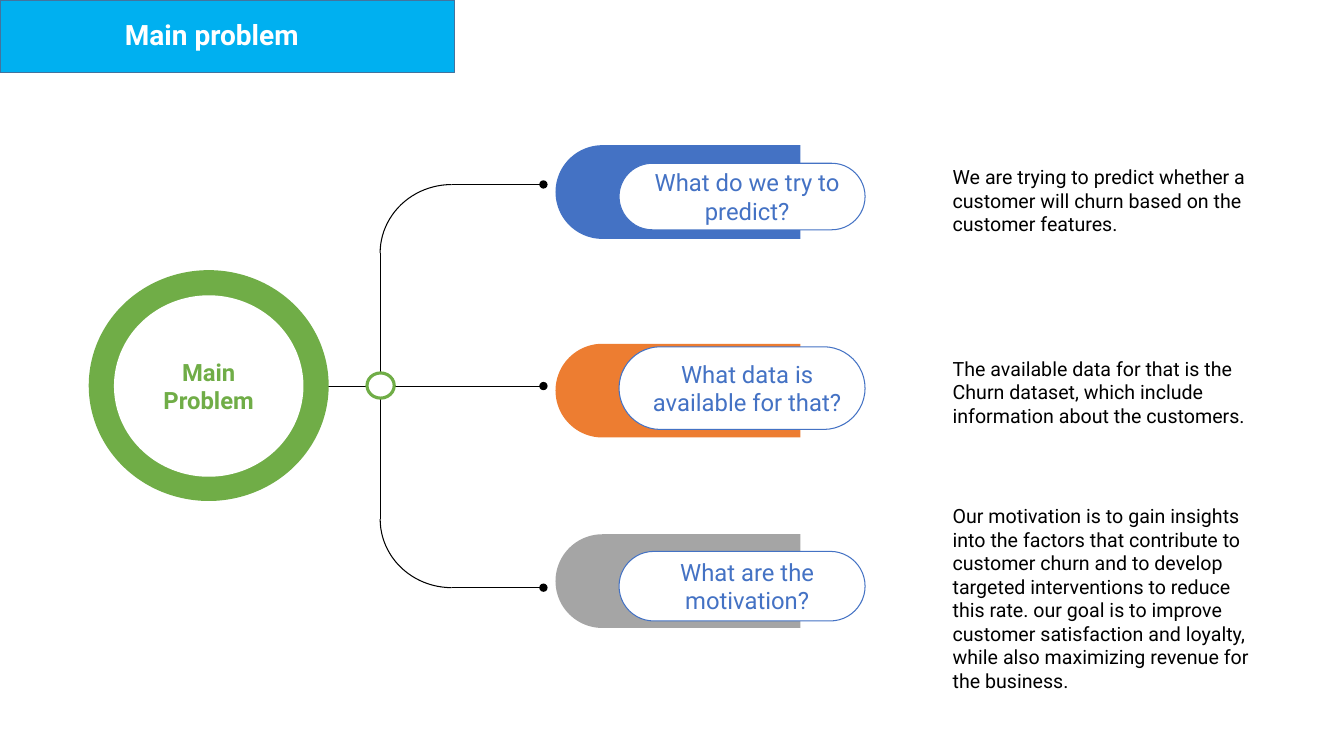
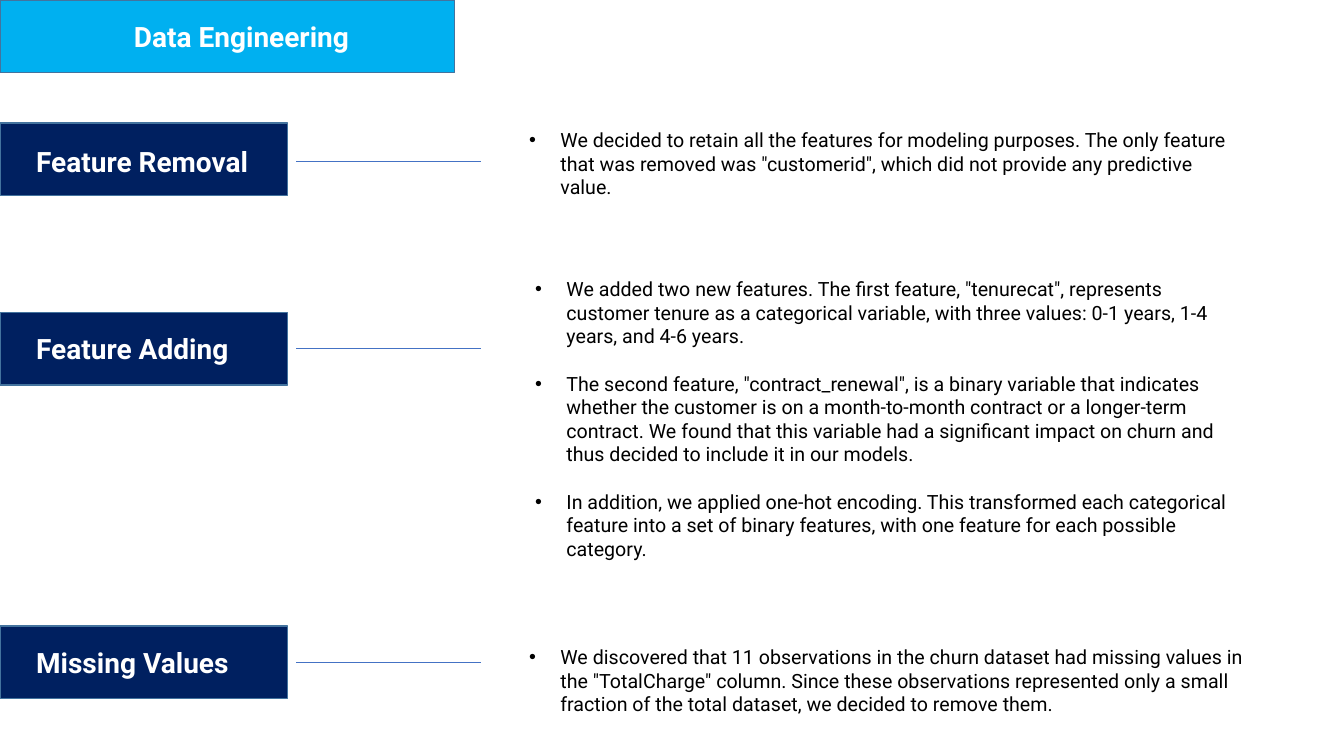
from lxml import etree
from pptx import Presentation
from pptx.dml.color import RGBColor
from pptx.enum.shapes import MSO_CONNECTOR, MSO_SHAPE
from pptx.enum.text import MSO_ANCHOR, PP_ALIGN
from pptx.oxml.ns import qn
from pptx.util import Pt

PX = 9144
FONT = "Roboto"
RECTANGLE = MSO_SHAPE.RECTANGLE
PILL = MSO_SHAPE.ROUNDED_RECTANGLE
CAP = MSO_SHAPE.ROUND_2_SAME_RECTANGLE
ELLIPSE = MSO_SHAPE.OVAL
ARC = MSO_SHAPE.ARC
STRAIGHT = MSO_CONNECTOR.STRAIGHT
LEFT, CENTER = PP_ALIGN.LEFT, PP_ALIGN.CENTER
TOP, MIDDLE = MSO_ANCHOR.TOP, MSO_ANCHOR.MIDDLE

COLORS = {
    "band": "00B0F0",
    "navy": "002060",
    "edge": "43739E",
    "blue": "4472C4",
    "orange": "ED7D31",
    "gray": "A5A5A5",
    "green": "70AD47",
    "white": "FFFFFF",
    "black": "000000",
}
COLORS = {name: RGBColor.from_string(value) for name, value in COLORS.items()}

TITLE = {"size": 20, "color": "white", "bold": True}
BODY = {"size": 14, "color": "black"}
PILL_TEXT = {"size": 17, "color": "blue", "align": CENTER, "anchor": MIDDLE,
             "insets": (20, 10, 10, 10)}


def add_block(slide, kind, box, fill=None, line=None, weight=1, rotation=0,
              adjustments=(), texts=(), size=14, color="black", bold=False,
              align=LEFT, anchor=TOP, insets=(10, 5, 10, 5), bullet=False):
    bounds = [value * PX for value in box]
    if kind is None:
        shape = slide.shapes.add_textbox(*bounds)
    else:
        shape = slide.shapes.add_shape(kind, *bounds)
        shape.shadow.inherit = False
        shape.rotation = rotation
        for index, value in enumerate(adjustments):
            shape.adjustments[index] = value
        if fill:
            shape.fill.solid()
            shape.fill.fore_color.rgb = COLORS[fill]
        else:
            shape.fill.background()
        if line:
            shape.line.color.rgb = COLORS[line]
            shape.line.width = Pt(weight)
        else:
            shape.line.fill.background()

    frame = shape.text_frame
    frame.word_wrap = True
    frame.vertical_anchor = anchor
    (frame.margin_left, frame.margin_top,
     frame.margin_right, frame.margin_bottom) = [value * PX for value in insets]
    for index, text in enumerate(texts):
        paragraph = frame.add_paragraph() if index else frame.paragraphs[0]
        paragraph.alignment = align
        if index:
            paragraph.space_before = Pt(17)
        if bullet:
            properties = paragraph._p.get_or_add_pPr()
            properties.set("marL", str(31 * PX))
            properties.set("indent", str(-31 * PX))
            etree.SubElement(properties, qn("a:buFont"), typeface="Arial")
            etree.SubElement(properties, qn("a:buChar"), char="•")
        run = paragraph.add_run()
        run.text = text
        run.font.name = FONT
        run.font.size = Pt(size)
        run.font.bold = bold
        run.font.color.rgb = COLORS[color]


def add_line(slide, points, color, weight, dot=False):
    connector = slide.shapes.add_connector(STRAIGHT, *[value * PX for value in points])
    connector.line.color.rgb = COLORS[color]
    connector.line.width = Pt(weight)
    properties = connector.element.spPr
    if dot:
        etree.SubElement(properties.get_or_add_ln(), qn("a:tailEnd"), type="oval")
    etree.SubElement(properties, qn("a:effectLst"))


presentation = Presentation()
presentation.slide_width = 1333 * PX
presentation.slide_height = 750 * PX

slides = []
for title, left, top in [("Main problem", 114, 12), ("Data Engineering", 123, 14)]:
    slide = presentation.slides.add_slide(presentation.slide_layouts[6])
    add_block(slide, RECTANGLE, (0, 0, 451, 72), fill="band", line="edge")
    add_block(slide, None, (left, top, 476, 44), texts=[title], **TITLE)
    slides.append(slide)
problem_slide, engineering_slide = slides

trunk_x, hub_y, dot_x = 377, 383, 539
bend_x = trunk_x + 71
branch_ys = (183, 583)
for points in [(trunk_x, 251, trunk_x, 515)]:
    add_line(problem_slide, points, "black", 0.75)
for start_x, y in [(bend_x, branch_ys[0]), (251, hub_y), (bend_x, branch_ys[1])]:
    add_line(problem_slide, (start_x, y, dot_x, y), "black", 0.75, dot=True)
for box, rotation in [((380, 180, 136, 142), 270), ((377, 447, 142, 136), 180)]:
    add_block(problem_slide, ARC, box, line="black", weight=0.75, rotation=rotation)

add_block(problem_slide, ELLIPSE, (364, 370, 27, 25), fill="white", line="green", weight=2.25)
add_block(problem_slide, ELLIPSE, (88, 268, 238, 229), fill="green")
add_block(problem_slide, ELLIPSE, (113, 293, 188, 180), fill="white",
          texts=["Main Problem"], size=17, color="green", bold=True,
          align=CENTER, anchor=MIDDLE, insets=(10, 10, 10, 10))

questions = [
    ("blue", 69, 162, 66, "What do we try to predict?", 154, 90,
     "We are trying to predict whether a customer will churn based on the "
     "customer features."),
    ("orange", 266, 344, 82, "What data is available for that?", 344, 90,
     "The available data for that is the Churn dataset, which include "
     "information about the customers."),
    ("gray", 455, 547, 69, "What are the motivation?", 490, 210,
     "Our motivation is to gain insights into the factors that contribute to "
     "customer churn and to develop targeted interventions to reduce this rate. "
     "our goal is to improve customer satisfaction and loyalty, while also "
     "maximizing revenue for the business."),
]
for color, cap_top, pill_top, pill_height, question, answer_top, answer_height, answer in questions:
    add_block(problem_slide, CAP, (626, cap_top, 93, 243), fill=color,
              rotation=270, adjustments=(0.5, 0))
    add_block(problem_slide, PILL, (614, pill_top, 244, pill_height), fill="white",
              line="blue", weight=0.75, adjustments=(0.5,), texts=[question], **PILL_TEXT)
    add_block(problem_slide, None, (935, answer_top, 323, answer_height),
              texts=[answer], insets=(10, 10, 10, 10), **BODY)

steps = [
    ("Feature Removal", 122, 138, (515, 122, 722, 141), [
        "We decided to retain all the features for modeling purposes. The only "
        "feature that was removed was \"customerid\", which did not provide any "
        "predictive value.",
    ]),
    ("Feature Adding", 310, 324, (521, 270, 722, 293), [
        "We added two new features. The first feature, \"tenurecat\", represents "
        "customer tenure as a categorical variable, with three values: 0-1 years, "
        "1-4 years, and 4-6 years.",
        "The second feature, \"contract_renewal\", is a binary variable that "
        "indicates whether the customer is on a month-to-month contract or a "
        "longer-term contract. We found that this variable had a significant "
        "impact on churn and thus decided to include it in our models.",
        "In addition, we applied one-hot encoding. This transformed each "
        "categorical feature into a set of binary features, with one feature for "
        "each possible category.",
    ]),
    ("Missing Values", 621, 635, (515, 635, 736, 90), [
        "We discovered that 11 observations in the churn dataset had missing "
        "values in the \"TotalCharge\" column. Since these observations represented "
        "only a small fraction of the total dataset, we decided to remove them.",
    ]),
]
for label, bar_top, label_top, body_box, texts in steps:
    line_y = label_top + 22
    add_block(engineering_slide, RECTANGLE, (0, bar_top, 285, 72), fill="navy", line="edge")
    add_block(engineering_slide, None, (26, label_top, 476, 44), texts=[label], **TITLE)
    add_line(engineering_slide, (294, line_y, 477, line_y), "blue", 0.5)
    add_block(engineering_slide, None, body_box, texts=texts, bullet=True, **BODY)

presentation.save("out.pptx")
